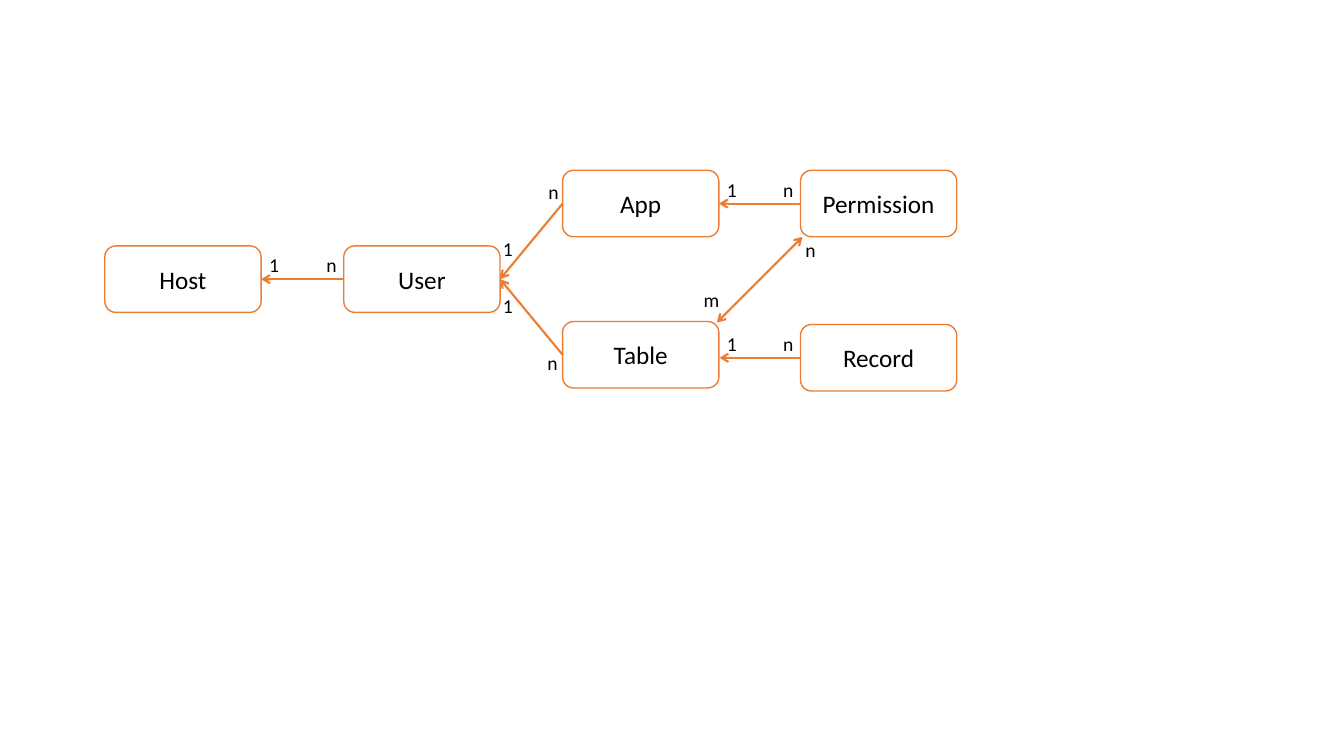
from pptx import Presentation
from pptx.dml.color import RGBColor
from pptx.enum.shapes import MSO_CONNECTOR, MSO_SHAPE
from pptx.enum.text import MSO_ANCHOR, MSO_AUTO_SIZE, PP_ALIGN
from pptx.oxml.ns import qn
from pptx.util import Inches, Pt
from lxml.etree import SubElement

ORANGE = RGBColor(0xED, 0x7D, 0x31)
WHITE = RGBColor(0xFF, 0xFF, 0xFF)
BLACK = RGBColor(0x00, 0x00, 0x00)

# Lengths are percentages of the slide's width or height
BOX_WIDTH, BOX_HEIGHT = 11.63, 8.8
COLUMNS = (7.8, 25.58, 41.86, 59.56)
FIRST_ROW, ROW_STEP = 22.53, 10
LEFT_SITE, RIGHT_SITE = 1, 3


class Diagram:
    """Holds the style and the current slide."""

    font = "Calibri"

    def __init__(self, deck):
        self.width, self.height = deck.slide_width, deck.slide_height
        self.page = deck.slides.add_slide(deck.slide_layouts[6])

    def x(self, share):
        return round(self.width * share / 100)

    def y(self, share):
        return round(self.height * share / 100)

    def set_text(self, shape, text, size, align):
        frame = shape.text_frame
        frame.text = text
        para = frame.paragraphs[0]
        para.alignment = align
        font = para.runs[0].font
        font.name, font.size, font.color.rgb = self.font, Pt(size), BLACK
        return frame

    def entity(self, name, column, row):
        box = self.page.shapes.add_shape(
            MSO_SHAPE.ROUNDED_RECTANGLE,
            self.x(COLUMNS[column]), self.y(FIRST_ROW + row * ROW_STEP),
            self.x(BOX_WIDTH), self.y(BOX_HEIGHT))
        box.shadow.inherit = False
        box.fill.solid()
        box.fill.fore_color.rgb = WHITE
        box.line.color.rgb = ORANGE
        box.line.width = Pt(1)
        frame = self.set_text(box, name, 18, PP_ALIGN.CENTER)
        frame.vertical_anchor = MSO_ANCHOR.MIDDLE
        return box

    def arrow(self, start=(0, 0), end=(0, 0), ends=("tailEnd",)):
        line = self.page.shapes.add_connector(
            MSO_CONNECTOR.STRAIGHT, self.x(start[0]), self.y(start[1]),
            self.x(end[0]), self.y(end[1]))
        line.line.color.rgb = ORANGE
        line.line.width = Pt(1.5)
        properties = line._element.spPr
        outline = properties.find(qn("a:ln"))
        for tag in ends:
            SubElement(outline, qn(f"a:{tag}"), type="arrow")
        SubElement(properties, qn("a:effectLst"))
        return line

    def link(self, child, parent):
        line = self.arrow()
        line.begin_connect(child, LEFT_SITE)
        line.end_connect(parent, RIGHT_SITE)

    def label(self, text, left, top):
        box = self.page.shapes.add_textbox(
            self.x(left), self.y(top), self.x(2.7 if text == "m" else 2.3), self.y(4.5))
        frame = self.set_text(box, text, 14, PP_ALIGN.LEFT)
        frame.word_wrap = False
        frame.auto_size = MSO_AUTO_SIZE.SHAPE_TO_FIT_TEXT

    def one_to_many(self, parent_column, row):
        """Labels above a horizontal link between neighbouring columns."""
        top = FIRST_ROW + row * ROW_STEP + 0.3
        self.label("1", COLUMNS[parent_column] + BOX_WIDTH - 0.15, top)
        self.label("n", COLUMNS[parent_column + 1] - 2.03, top)


deck = Presentation()
deck.slide_width, deck.slide_height = Inches(13.33), Inches(7.5)
diagram = Diagram(deck)

# Entities
RECORD_ROW = 2.04
host = diagram.entity("Host", 0, 1)
user = diagram.entity("User", 1, 1)
permission = diagram.entity("Permission", 3, 0)
app = diagram.entity("App", 2, 0)
table = diagram.entity("Table", 2, 2)
record = diagram.entity("Record", 3, RECORD_ROW)

# Relations from the many side to the one side
for child, parent in ((user, host), (app, user), (permission, app), (table, user)):
    diagram.link(child, parent)
diagram.arrow((59.6, 47.33), (53.53, 47.33))

# Many-to-many relation of Permission and Table
diagram.arrow((59.71, 31.33), (53.34, 42.67), ends=("headEnd", "tailEnd"))

# Multiplicities of the horizontal links
for parent_column, row in ((0, 1), (2, 0), (2, RECORD_ROW)):
    diagram.one_to_many(parent_column, row)

# Multiplicities of the slanted links
for text, left, top in (
        ("1", 36.68, 30.67), ("n", 40.06, 23.2),
        ("1", 36.68, 38.27), ("n", 39.98, 45.73),
        ("n", 59.19, 30.8), ("m", 51.61, 37.47)):
    diagram.label(text, left, top)

deck.save("out.pptx")
